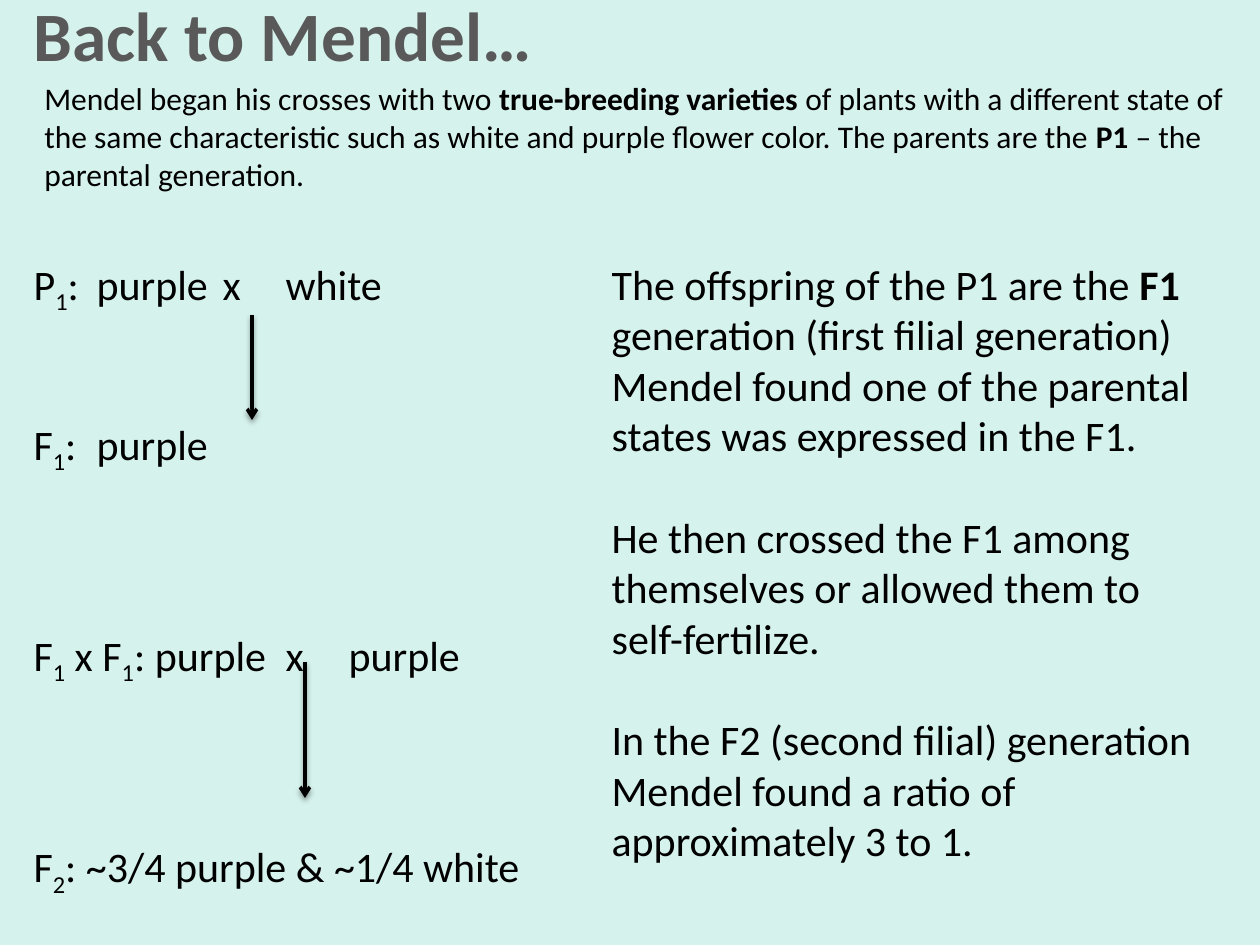
from dataclasses import dataclass

from lxml.etree import Element, SubElement
from pptx import Presentation
from pptx.dml.color import RGBColor
from pptx.enum.shapes import MSO_CONNECTOR as Connector
from pptx.enum.text import MSO_ANCHOR as Anchor, MSO_AUTO_SIZE as AutoSize, PP_ALIGN as Align
from pptx.oxml.ns import qn
from pptx.util import Emu, Pt

EMU_PER_PX = 914400 / 126
COLORS = {
    "background": "D6F2ED",
    "title": "595959",
    "title_outline": "7D7D7D",
    "text": "000000",
}
LINE_PT = 29.3  # height of one 24 pt line of Calibri


@dataclass(frozen=True)
class Span:
    text: str
    bold: bool = False
    subscript: bool = False


@dataclass(frozen=True)
class Line:
    spans: tuple[Span, ...]
    blank_lines_before: int = 0
    tabs: tuple[int, ...] = ()


@dataclass(frozen=True)
class TextStyle:
    size: float
    color: str = "text"
    line_spacing: float = 1.0
    anchor: Anchor = Anchor.TOP


@dataclass(frozen=True)
class Arrow:
    x: int
    top: int
    bottom: int


def px(length: int) -> Emu:
    return Emu(round(length * EMU_PER_PX))


def rgb(name: str) -> RGBColor:
    return RGBColor.from_string(COLORS[name])


def generation(before: str, number: str, after: str) -> tuple[Span, ...]:
    """Spans of a generation symbol with its number set as a subscript."""
    return Span(before), Span(number, subscript=True), Span(after)


def place(shape, left: int, top: int, width: int, height: int) -> None:
    box = {"left": left, "top": top, "width": width, "height": height}
    for name, value in box.items():
        setattr(shape, name, px(value))


def add_span(paragraph, span: Span, style: TextStyle) -> None:
    run = paragraph.add_run()
    run.text = span.text
    formats = {"name": "Calibri", "size": Pt(style.size), "bold": span.bold}
    for name, value in formats.items():
        setattr(run.font, name, value)
    run.font.color.rgb = rgb(style.color)
    if span.subscript:
        run._r.get_or_add_rPr().set("baseline", "-25000")


def write_lines(shape, lines: list[Line], style: TextStyle) -> None:
    frame = shape.text_frame
    formats = {"word_wrap": True, "auto_size": AutoSize.NONE, "vertical_anchor": style.anchor}
    for name, value in formats.items():
        setattr(frame, name, value)
    for index, line in enumerate(lines):
        paragraph = frame.add_paragraph() if index else frame.paragraphs[0]
        properties = paragraph._p.get_or_add_pPr()
        properties.set("marL", "0")
        properties.set("indent", "0")
        SubElement(properties, qn("a:buNone"))
        if line.tabs:
            stops = SubElement(properties, qn("a:tabLst"))
            for position in line.tabs:
                SubElement(stops, qn("a:tab"), pos=str(px(position)), algn="l")
        formats = {
            "alignment": Align.LEFT,
            "line_spacing": style.line_spacing,
            "space_before": Pt(line.blank_lines_before * LINE_PT),
            "space_after": Pt(0),
        }
        for name, value in formats.items():
            setattr(paragraph, name, value)
        for span in line.spans:
            add_span(paragraph, span, style)


def outline_text(run, color: str, width: float) -> None:
    outline = Element(qn("a:ln"), w=str(Pt(width)))
    fill = SubElement(outline, qn("a:solidFill"))
    SubElement(fill, qn("a:srgbClr"), val=COLORS[color])
    run._r.get_or_add_rPr().insert(0, outline)


def add_arrow(slide, arrow: Arrow) -> None:
    connector = slide.shapes.add_connector(
        Connector.STRAIGHT, px(arrow.x), px(arrow.top), px(arrow.x), px(arrow.bottom)
    )
    connector.line.color.rgb = rgb("text")
    connector.line.width = Pt(2)
    properties = connector._element.spPr
    SubElement(properties.find(qn("a:ln")), qn("a:tailEnd"), type="arrow")
    effects = SubElement(properties, qn("a:effectLst"))
    shadow = SubElement(
        effects, qn("a:outerShdw"),
        blurRad=str(Pt(3.1)), dist=str(Pt(1.6)), dir="5400000", rotWithShape="0",
    )
    color = SubElement(shadow, qn("a:srgbClr"), val=COLORS["text"])
    SubElement(color, qn("a:alpha"), val="38000")


INTRODUCTION = [Line((
    Span("Mendel began his crosses with two "),
    Span("true-breeding varieties ", bold=True),
    Span("of plants with a different state of the same characteristic such as "
         "white and purple flower color. The parents are the "),
    Span("P1 ", bold=True),
    Span("– the parental generation."),
))]
CROSSES = [
    Line(generation("P", "1", ":\tpurple\tx\twhite"), tabs=(74, 214, 270)),
    Line(generation("F", "1", ":\tpurple"), 2, tabs=(174,)),
    Line(generation("F", "1", " x ") + generation("F", "1", ": purple\tx\tpurple"),
         3, tabs=(262, 299)),
    Line(generation("F", "2", ": ~3/4 purple & ~1/4 white"), 3),
]
EXPLANATION = [
    Line((Span("The offspring of the P1 are the "), Span("F1", bold=True))),
    Line((Span("generation (first filial generation)"),)),
    Line((Span("Mendel found one of the parental"),)),
    Line((Span("states was expressed in the F1."),)),
    Line((Span("He then crossed the F1 among"),), 1),
    Line((Span("themselves or allowed them to self-fertilize."),)),
    Line((Span("In the F2 (second filial) generation"),), 1),
    Line((Span("Mendel found a ratio of"),)),
    Line((Span("approximately 3 to 1."),)),
]
ARROWS = [Arrow(252, 315, 420), Arrow(305, 662, 798)]


def main() -> None:
    presentation = Presentation()
    presentation.slide_width, presentation.slide_height = px(1260), px(945)
    two_content = presentation.slide_layouts[3]
    slide = presentation.slides.add_slide(two_content)
    slide.background.fill.solid()
    slide.background.fill.fore_color.rgb = rgb("background")

    title, crosses, explanation = list(slide.placeholders)[:3]
    place(title, 21, 0, 1134, 84)
    title_style = TextStyle(39.6, "title", 0.8, Anchor.MIDDLE)
    write_lines(title, [Line((Span("Back to Mendel…", bold=True),))], title_style)
    outline_text(title.text_frame.paragraphs[0].runs[0], "title_outline", 0.83)

    introduction = slide.shapes.add_textbox(px(32), px(73), px(1207), px(127))
    write_lines(introduction, INTRODUCTION, TextStyle(18))

    column_style = TextStyle(24)
    place(explanation, 599, 252, 630, 624)
    write_lines(explanation, EXPLANATION, column_style)
    place(crosses, 21, 252, 557, 624)
    write_lines(crosses, CROSSES, column_style)

    for arrow in ARROWS:
        add_arrow(slide, arrow)
    presentation.save("out.pptx")


if __name__ == "__main__":
    main()
